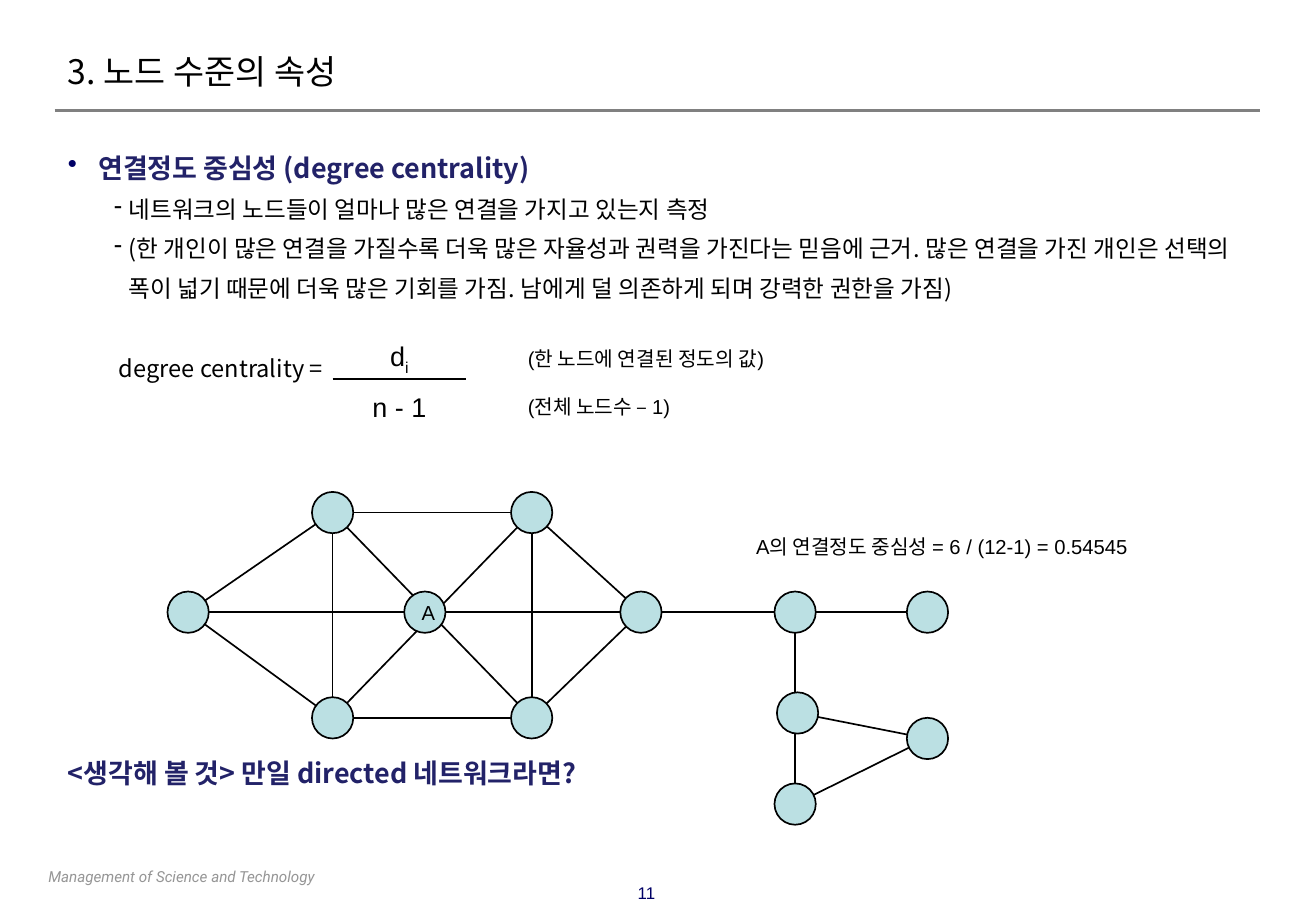
from dataclasses import dataclass
from math import hypot
from typing import NamedTuple

from lxml import etree
from pptx import Presentation
from pptx.dml.color import RGBColor
from pptx.enum.shapes import MSO_CONNECTOR, MSO_SHAPE
from pptx.enum.text import MSO_ANCHOR, PP_ALIGN
from pptx.oxml.ns import qn
from pptx.util import Inches, Pt

LEFT, CENTER = PP_ALIGN.LEFT, PP_ALIGN.CENTER
TOP, MIDDLE = MSO_ANCHOR.TOP, MSO_ANCHOR.MIDDLE
STRAIGHT, OVAL = MSO_CONNECTOR.STRAIGHT, MSO_SHAPE.OVAL
BLACK = RGBColor(0x00, 0x00, 0x00)
NAVY = RGBColor(0x22, 0x22, 0x68)
DEEP_BLUE = RGBColor(0x00, 0x00, 0x66)
GRAY = RGBColor(0x80, 0x80, 0x80)
LIGHT_GRAY = RGBColor(0x96, 0x96, 0x96)
PALE_TEAL = RGBColor(0xBB, 0xE0, 0xE3)
KOREAN = "Noto Sans CJK KR"
RADIUS = 0.17


@dataclass(frozen=True)
class Style:
    font: str
    size: float
    color: RGBColor = BLACK
    bold: bool = False
    italic: bool = False
    pitch: float | None = None


@dataclass(frozen=True)
class Label:
    text: str
    left: float
    top: float
    width: float
    height: float
    style: Style
    align: PP_ALIGN = LEFT
    inset: float = 0.1
    subscript: str = ""


class Bullet(NamedTuple):
    text: str
    mark: str
    color: RGBColor
    margin: float
    indent: float
    style: Style


class Node(NamedTuple):
    x: float
    y: float
    name: str = ""


TITLE = Style(KOREAN, 20, pitch=24)
HEADING = Style(KOREAN, 16, NAVY, bold=True, pitch=26.8)
BODY = Style(KOREAN, 14, pitch=23.4)
NOTE = Style("Arial", 12, pitch=14.4)
FORMULA = Style("Arial", 16)
NODE_NAME = Style("Arial", 12)
FOOTER = Style("Roboto", 9, LIGHT_GRAY, italic=True)
PAGE_NUMBER = Style("Arial", 10, DEEP_BLUE)

BULLETS = [
    Bullet("연결정도 중심성 (degree centrality)", "•", DEEP_BLUE, 0.25, -0.25, HEADING),
    Bullet("네트워크의 노드들이 얼마나 많은 연결을 가지고 있는지 측정", "-", BLACK, 0.5, -0.12, BODY),
    Bullet("(한 개인이 많은 연결을 가질수록 더욱 많은 자율성과 권력을 가진다는 믿음에 근거. "
           "많은 연결을 가진 개인은 선택의 폭이 넓기 때문에 더욱 많은 기회를 가짐. "
           "남에게 덜 의존하게 되며 강력한 권한을 가짐)", "-", BLACK, 0.5, -0.12, BODY),
]

LABELS = [
    Label("Management of Science and Technology", 0.3, 7.09, 3.94, 0.25, FOOTER),
    Label("11", 5.02, 7.22, 0.61, 0.27, PAGE_NUMBER, CENTER),
    Label("degree centrality =", 0.87, 2.77, 2.0, 0.43, BODY, inset=0.11),
    Label("d", 2.74, 2.75, 1.1, 0.41, FORMULA, CENTER, subscript="i"),
    Label("n - 1", 2.74, 3.17, 1.1, 0.37, FORMULA, CENTER),
    Label("(한 노드에 연결된 정도의 값)", 4.25, 2.8, 2.4, 0.3, NOTE),
    Label("(전체 노드수 – 1)", 4.25, 3.2, 2.4, 0.3, NOTE),
    Label("A의 연결정도 중심성 = 6 / (12-1) = 0.54545", 6.13, 4.35, 3.78, 0.3, NOTE),
    Label("<생각해 볼 것> 만일 directed 네트워크라면?", 0.45, 6.07, 5.5, 0.47, HEADING, inset=0.11),
]

NODES = {
    "upper left": Node(2.74, 4.22), "upper right": Node(4.38, 4.22),
    "lower left": Node(2.74, 5.91), "lower right": Node(4.38, 5.91),
    "west": Node(1.55, 5.04), "center": Node(3.5, 5.04, "A"), "east": Node(5.28, 5.04),
    "hub": Node(6.55, 5.04), "far east": Node(7.64, 5.04),
    "middle": Node(6.57, 5.87), "corner": Node(7.64, 6.08), "bottom": Node(6.55, 6.62),
}

EDGES = [
    ("upper left", "lower right"), ("lower left", "upper right"),
    ("upper left", "upper right"), ("lower left", "lower right"),
    ("upper left", "lower left"), ("upper right", "lower right"),
    ("west", "upper left"), ("west", "lower left"), ("west", "center"),
    ("east", "upper right"), ("east", "lower right"), ("center", "east"),
    ("east", "far east"), ("hub", "bottom"),
    ("middle", "corner"), ("bottom", "corner"),
]


def add_span(para, text: str, style: Style):
    span = para.add_run()
    span.text = text
    font = span.font
    font.name, font.size = style.font, Pt(style.size)
    font.bold, font.italic = style.bold, style.italic
    font.color.rgb = style.color
    east_asian = etree.SubElement(span._r.get_or_add_rPr(), qn("a:ea"))
    east_asian.set("typeface", KOREAN)
    return span


def write_para(para, text: str, style: Style, align: PP_ALIGN = LEFT) -> None:
    para.alignment = align
    para.space_before = Pt(0)
    if style.pitch:
        para.line_spacing = Pt(style.pitch)
    add_span(para, text, style)


def set_frame(frame, inset: float, anchor: MSO_ANCHOR = TOP) -> None:
    frame.word_wrap = True
    frame.vertical_anchor = anchor
    frame.margin_left = frame.margin_right = Inches(inset)
    frame.margin_top = frame.margin_bottom = Inches(0.05)


def add_label(page, label: Label) -> None:
    box = page.shapes.add_textbox(*map(Inches, (label.left, label.top, label.width, label.height)))
    set_frame(box.text_frame, label.inset)
    para = box.text_frame.paragraphs[0]
    write_para(para, label.text, label.style, label.align)
    if label.subscript:
        span = add_span(para, label.subscript, label.style)
        span._r.get_or_add_rPr().set("baseline", "-25000")


def add_bullets(page, bullets: list[Bullet]) -> None:
    box = page.shapes.add_textbox(Inches(0.45), Inches(1.09), Inches(9.92), Inches(1.5))
    frame = box.text_frame
    set_frame(frame, 0.11)
    for index, bullet in enumerate(bullets):
        para = frame.add_paragraph() if index else frame.paragraphs[0]
        properties = para._p.get_or_add_pPr()
        properties.set("marL", str(Inches(bullet.margin)))
        properties.set("indent", str(Inches(bullet.indent)))
        color = etree.SubElement(properties, qn("a:buClr"))
        etree.SubElement(color, qn("a:srgbClr")).set("val", str(bullet.color))
        etree.SubElement(properties, qn("a:buChar")).set("char", bullet.mark)
        write_para(para, bullet.text, bullet.style)


def add_line(page, x1: float, y1: float, x2: float, y2: float,
             color: RGBColor = BLACK, width: float = 1) -> None:
    line = page.shapes.add_connector(STRAIGHT, *map(Inches, (x1, y1, x2, y2)))
    line.line.color.rgb = color
    line.line.width = Pt(width)
    etree.SubElement(line._element.spPr, qn("a:effectLst"))


def add_edge(page, start: Node, end: Node) -> None:
    dx, dy = end.x - start.x, end.y - start.y
    trim = RADIUS / hypot(dx, dy)
    add_line(page, start.x + dx * trim, start.y + dy * trim, end.x - dx * trim, end.y - dy * trim)


def add_node(page, node: Node) -> None:
    circle = page.shapes.add_shape(OVAL, Inches(node.x - RADIUS), Inches(node.y - RADIUS),
                                   Inches(2 * RADIUS), Inches(2 * RADIUS))
    circle.shadow.inherit = False
    circle.fill.solid()
    circle.fill.fore_color.rgb = PALE_TEAL
    circle.line.color.rgb = BLACK
    circle.line.width = Pt(1)
    if node.name:
        set_frame(circle.text_frame, 0, MIDDLE)
        circle.text_frame.margin_left = Inches(0.06)
        write_para(circle.text_frame.paragraphs[0], node.name, NODE_NAME, CENTER)


def main() -> None:
    deck = Presentation()
    deck.slide_width, deck.slide_height = Inches(10.84), Inches(7.5)
    page = deck.slides.add_slide(deck.slide_layouts[5])
    title = page.shapes.title
    title.left, title.top, title.width, title.height = map(Inches, (0.45, 0.34, 8.03, 0.49))
    set_frame(title.text_frame, 0.11, MIDDLE)
    write_para(title.text_frame.paragraphs[0], "3. 노드 수준의 속성", TITLE)
    add_line(page, 0.45, 0.91, 10.38, 0.91, GRAY, 2)
    add_bullets(page, BULLETS)
    add_line(page, 2.74, 3.12, 3.84, 3.12)
    for label in LABELS:
        add_label(page, label)
    for start, end in EDGES:
        add_edge(page, NODES[start], NODES[end])
    for node in NODES.values():
        add_node(page, node)
    deck.save("out.pptx")


if __name__ == "__main__":
    main()
